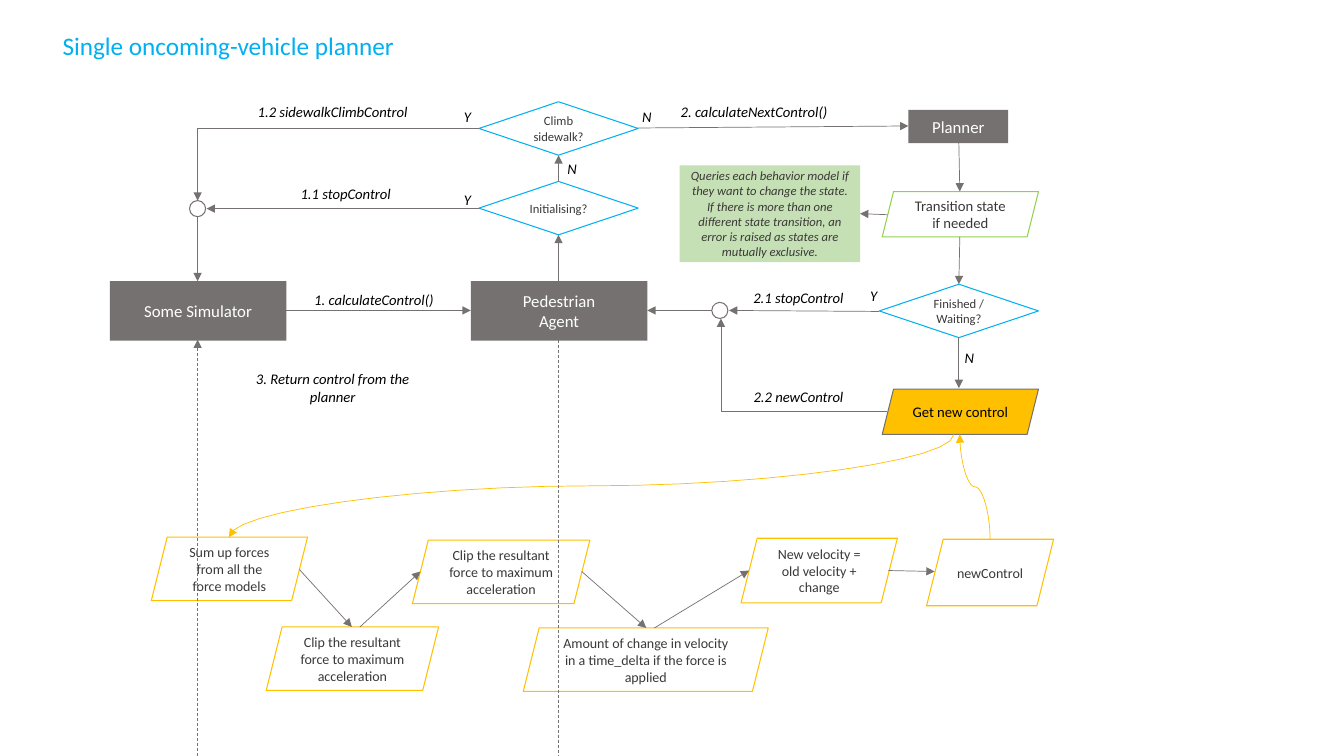
from dataclasses import dataclass
from typing import NamedTuple, Optional

from lxml import etree
from pptx import Presentation
from pptx.dml.color import RGBColor
from pptx.enum.dml import MSO_LINE
from pptx.enum.shapes import MSO_CONNECTOR, MSO_SHAPE
from pptx.enum.text import MSO_ANCHOR, MSO_AUTO_SIZE, PP_ALIGN
from pptx.oxml.ns import qn
from pptx.util import Inches, Pt

FONT = "Calibri"
BLACK = RGBColor(0x00, 0x00, 0x00)
WHITE = RGBColor(0xFF, 0xFF, 0xFF)
DARK = RGBColor(0x3B, 0x38, 0x38)
GREY = RGBColor(0x76, 0x71, 0x71)
BLUE = RGBColor(0x00, 0xB0, 0xF0)
GREEN = RGBColor(0x92, 0xD0, 0x50)
PALE_GREEN = RGBColor(0xC5, 0xE0, 0xB4)
AMBER = RGBColor(0xFF, 0xC0, 0x00)

RECTANGLE = MSO_SHAPE.RECTANGLE
DIAMOND = MSO_SHAPE.DIAMOND
PARALLELOGRAM = MSO_SHAPE.PARALLELOGRAM
OVAL = MSO_SHAPE.OVAL
STRAIGHT = MSO_CONNECTOR.STRAIGHT
DASH = MSO_LINE.DASH
CENTER, LEFT = PP_ALIGN.CENTER, PP_ALIGN.LEFT
TOP = MSO_ANCHOR.TOP
NO_AUTOFIT = MSO_AUTO_SIZE.NONE

SLIDE_WIDTH, SLIDE_HEIGHT = 13.33, 7.5
LABEL_HEIGHT = 0.47
CURVE_STEPS = 12  # segments in each half of an S-curve


@dataclass(frozen=True)
class Style:
    shape: MSO_SHAPE
    size: float
    color: RGBColor
    fill: Optional[RGBColor] = None
    line: Optional[RGBColor] = None
    italic: bool = False


class Node(NamedTuple):
    style: Style
    left: float
    top: float
    width: float
    height: float
    text: str = ""


class Label(NamedTuple):
    left: float
    top: float
    width: float
    text: str
    height: float = LABEL_HEIGHT


class Point(NamedTuple):
    x: float
    y: float


COMPONENT = Style(RECTANGLE, 12, WHITE, fill=GREY)
DECISION = Style(DIAMOND, 9, DARK, line=BLUE)
JUNCTION = Style(OVAL, 9, DARK, line=GREY)
TRANSITION = Style(PARALLELOGRAM, 10.5, DARK, line=GREEN)
CONTROL = Style(PARALLELOGRAM, 10.5, BLACK, fill=AMBER, line=GREY)
NOTE = Style(RECTANGLE, 9, DARK, fill=PALE_GREEN, italic=True)
STEP = Style(PARALLELOGRAM, 10, DARK, line=AMBER)

NODES = [
    Node(COMPONENT, 1.09, 2.79, 1.75, 0.59, "Some Simulator"),
    Node(COMPONENT, 4.67, 2.79, 1.75, 0.59, "Pedestrian\nAgent"),
    Node(COMPONENT, 9.01, 1.09, 0.99, 0.33, "Planner"),
    Node(DECISION, 4.75, 1.8, 1.58, 0.53, "Initialising?"),
    Node(DECISION, 4.75, 1.01, 1.58, 0.53, "Climb sidewalk?"),
    Node(DECISION, 8.72, 2.82, 1.58, 0.53, "Finished / Waiting?"),
    Node(JUNCTION, 1.88, 1.99, 0.16, 0.16),
    Node(JUNCTION, 7.06, 3, 0.16, 0.16),
    Node(TRANSITION, 8.75, 1.9, 1.55, 0.45, "Transition state if needed"),
    Node(CONTROL, 8.75, 3.86, 1.55, 0.45, "Get new control"),
    Node(NOTE, 6.74, 1.64, 1.79, 0.96,
         "Queries each behavior model if they want to change the state. "
         "If there is more than one different state transition, an error "
         "is raised as states are mutually exclusive."),
    Node(STEP, 1.5, 5.33, 1.55, 0.63, "Sum up forces from all the force models"),
    Node(STEP, 2.64, 6.22, 1.71, 0.63, "Clip the resultant force to maximum acceleration"),
    Node(STEP, 4.09, 5.36, 1.76, 0.63, "Clip the resultant force to maximum acceleration"),
    Node(STEP, 5.19, 6.23, 2.43, 0.63,
         "Amount of change in velocity in a time_delta if the force is applied"),
    Node(STEP, 7.35, 5.34, 1.55, 0.64, "New velocity = old velocity + change"),
    Node(STEP, 9.19, 5.35, 1.26, 0.66, "newControl"),
]

LABELS = [
    Label(2.73, 2.84, 1.96, "1. calculateControl()"),
    Label(2.45, 1.78, 1.96, "1.1 stopControl"),
    Label(2.32, 0.97, 1.96, "1.2 sidewalkClimbControl"),
    Label(6.5, 0.97, 1.96, "2. calculateNextControl()"),
    Label(7.14, 2.82, 1.56, "2.1 stopControl"),
    Label(7.14, 3.8, 1.56, "2.2 newControl"),
    Label(2.32, 3.62, 1.96, "3. Return control from the planner", 0.63),
] + [
    Label(left, top, LABEL_HEIGHT, answer)
    for answer, left, top in [
        ("Y", 4.4, 1.84), ("N", 5.44, 1.54), ("N", 6.18, 1.02),
        ("Y", 4.4, 1.02), ("Y", 8.43, 2.8), ("N", 9.38, 3.41)]
]

ARROWS = [
    # Simulator and agent
    (Point(2.84, 3.08), Point(4.67, 3.08)),
    (Point(5.54, 2.79), Point(5.54, 2.33)),
    (Point(5.54, 1.8), Point(5.54, 1.54)),
    (Point(4.75, 2.07), Point(2.05, 2.07)),
    (Point(1.96, 2.15), Point(1.96, 2.79)),
    # Planner
    (Point(6.33, 1.27), Point(9.01, 1.25)),
    (Point(9.51, 1.42), Point(9.52, 1.9)),
    (Point(8.8, 2.13), Point(8.53, 2.12)),
    (Point(9.52, 2.35), Point(9.51, 2.82)),
    (Point(8.72, 3.09), Point(7.23, 3.08)),
    (Point(7.06, 3.08), Point(6.42, 3.08)),
    (Point(9.51, 3.35), Point(9.51, 3.85)),
    # Force calculation steps
    (Point(2.97, 5.65), Point(3.49, 6.22)),
    (Point(3.57, 6.22), Point(4.17, 5.67)),
    (Point(5.77, 5.67), Point(6.41, 6.23)),
    (Point(6.49, 6.23), Point(7.43, 5.66)),
    (Point(8.81, 5.66), Point(9.27, 5.67)),
]
ELBOWS = [(Point(4.75, 1.27), Point(1.96, 1.99)), (Point(8.8, 4.08), Point(7.15, 3.16))]
CURVES = [(Point(9.46, 4.31), Point(2.27, 5.33)), (Point(9.82, 5.35), Point(9.52, 4.31))]


def format_text(shape, size: float, color: RGBColor, italic=False, align=CENTER) -> None:
    for para in shape.text_frame.paragraphs:
        para.alignment = align
        for span in para.runs:
            span.font.name, span.font.size = FONT, Pt(size)
            span.font.color.rgb, span.font.italic = color, italic


def add_node(shapes, node: Node) -> None:
    style = node.style
    box = shapes.add_shape(style.shape, *map(Inches, node[1:5]))
    box.shadow.inherit = False
    for part, color in ((box.fill, style.fill), (box.line.fill, style.line)):
        if color is None:
            part.background()
        else:
            part.solid()
            part.fore_color.rgb = color
    if style.line is not None:
        box.line.width = Pt(0.75)
    if node.text:
        box.text_frame.text = node.text
        box.text_frame.word_wrap = True
        format_text(box, style.size, style.color, style.italic)


def add_label(shapes, label: Label) -> None:
    box = shapes.add_textbox(*map(Inches, (label.left, label.top, label.width, label.height)))
    box.text_frame.word_wrap = True
    box.text_frame.text = label.text
    format_text(box, 10.5, BLACK, italic=True)


def style_line(shape, color: RGBColor, arrowhead=True) -> None:
    shape.line.color.rgb, shape.line.width = color, Pt(0.5)
    if arrowhead:
        outline = shape._element.spPr.find(qn("a:ln"))
        etree.SubElement(outline, qn("a:tailEnd"), type="triangle")


def add_line(shapes, start: Point, end: Point, dashed=False, arrowhead=True) -> None:
    line = shapes.add_connector(STRAIGHT, *map(Inches, (*start, *end)))
    if dashed:
        line.line.dash_style = DASH
    style_line(line, GREY, arrowhead)
    etree.SubElement(line._element.spPr, qn("a:effectLst"))


def add_route(shapes, points: list[Point], color: RGBColor) -> None:
    corners = [(Inches(point.x), Inches(point.y)) for point in points]
    builder = shapes.build_freeform(*corners[0])
    builder.add_line_segments(corners[1:], close=False)
    route = builder.convert_to_shape()
    route.shadow.inherit = False
    route.fill.background()
    style_line(route, color)


def s_curve(start: Point, end: Point) -> list[Point]:
    """Two mirrored cubic halves that leave and arrive vertically."""
    across, down = end.x - start.x, end.y - start.y
    half = []
    for step in range(CURVE_STEPS + 1):
        t = step / CURVE_STEPS
        x = 0.75 * t**2 * (1 - t) + 0.5 * t**3
        y = 0.75 * t * (1 - t)**2 + 1.5 * t**2 * (1 - t) + 0.5 * t**3
        half.append((x, y))
    mirrored = [(1 - x, 1 - y) for x, y in reversed(half[:-1])]
    return [Point(start.x + across * x, start.y + down * y) for x, y in half + mirrored]


deck = Presentation()
deck.slide_width, deck.slide_height = Inches(SLIDE_WIDTH), Inches(SLIDE_HEIGHT)
page = deck.slides.add_slide(deck.slide_layouts[5])

# Title
title = page.shapes.title
title.left, title.top, title.width, title.height = map(Inches, (0.52, 0.25, 3.51, 0.4))
title.text_frame.text = "Single oncoming-vehicle planner"
title.text_frame.word_wrap = False
title.text_frame.auto_size = NO_AUTOFIT
title.text_frame.vertical_anchor = TOP
format_text(title, 18, BLUE, align=LEFT)

# Boxes and labels
for item in NODES:
    add_node(page.shapes, item)
for caption in LABELS:
    add_label(page.shapes, caption)

# Arrows
for tail, head in ARROWS:
    add_line(page.shapes, tail, head)
for tail, head in ELBOWS:
    add_route(page.shapes, [tail, Point(head.x, tail.y), head], GREY)
for tail, head in CURVES:
    add_route(page.shapes, s_curve(tail, head), AMBER)

# Dashed return from agent to simulator
add_line(page.shapes, Point(5.54, 3.37), Point(5.54, SLIDE_HEIGHT), dashed=True, arrowhead=False)
add_line(page.shapes, Point(1.96, SLIDE_HEIGHT), Point(1.96, 3.37), dashed=True)

deck.save("out.pptx")
